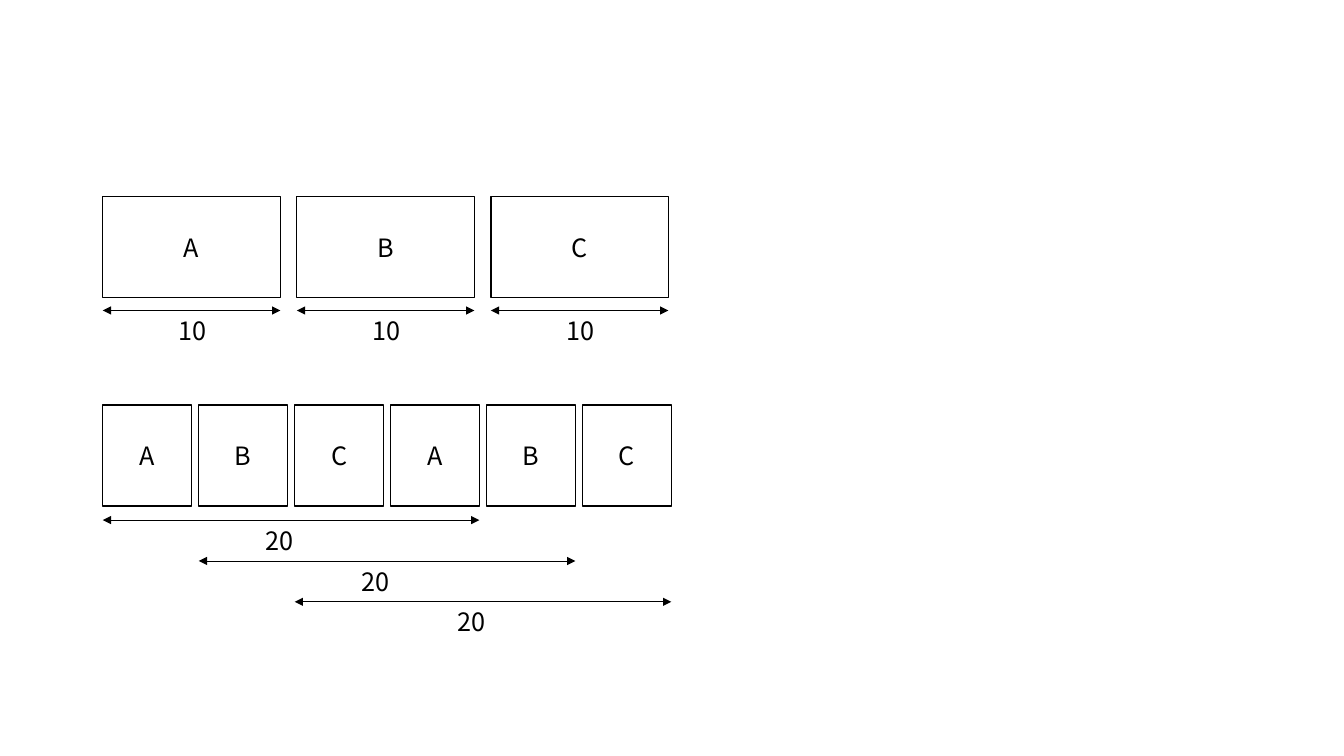
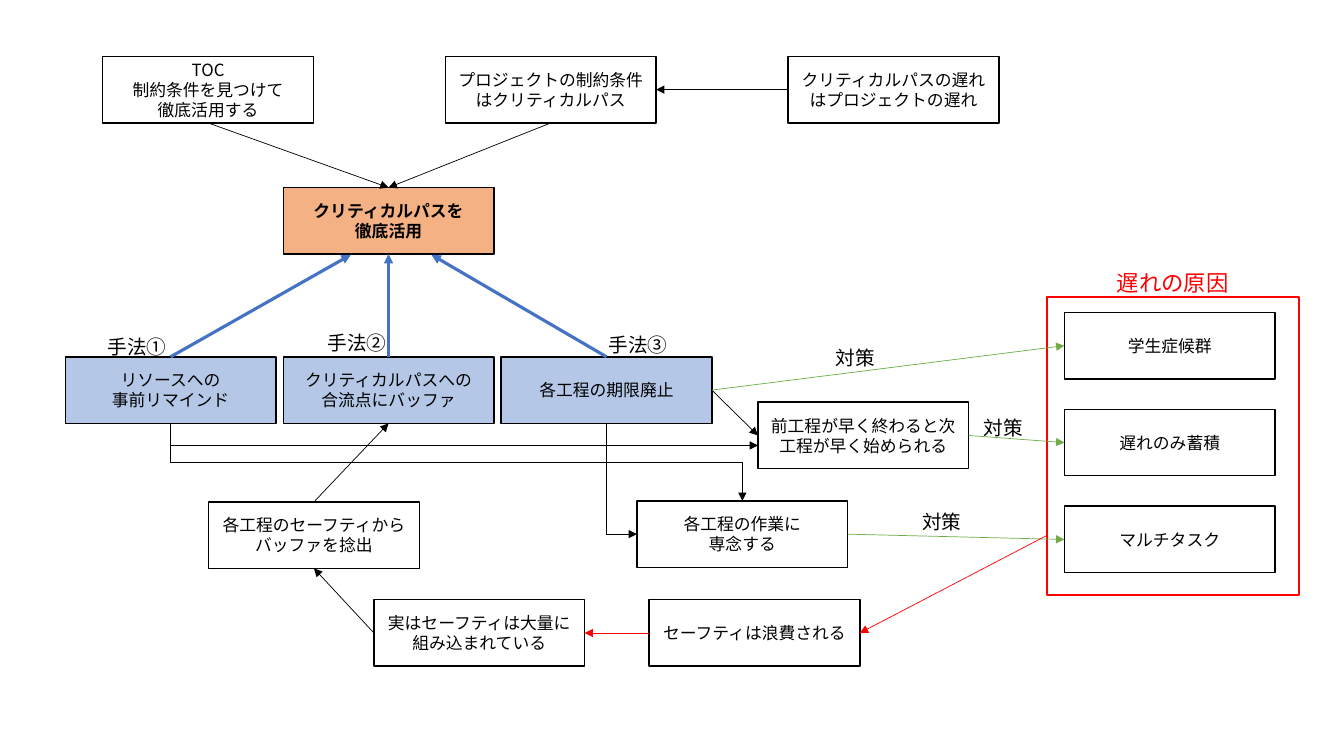
from lxml import etree
from pptx import Presentation
from pptx.dml.color import RGBColor
from pptx.enum.shapes import MSO_CONNECTOR, MSO_SHAPE
from pptx.enum.text import MSO_ANCHOR, PP_ALIGN
from pptx.oxml.ns import qn
from pptx.util import Pt

RECT = MSO_SHAPE.RECTANGLE
STRAIGHT, ELBOW = MSO_CONNECTOR.STRAIGHT, MSO_CONNECTOR.ELBOW
CENTER, LEFT = PP_ALIGN.CENTER, PP_ALIGN.LEFT
MIDDLE, ANCHOR_TOP = MSO_ANCHOR.MIDDLE, MSO_ANCHOR.TOP
TOP_SIDE, LEFT_SIDE, BOTTOM_SIDE, RIGHT_SIDE = range(4)  # rectangle connection sites

FONT = "Noto Sans CJK JP"
COLORS = {
    "black": "000000", "white": "FFFFFF", "red": "FF0000", "green": "70AD47",
    "blue": "4472C4", "pale_blue": "B4C7E7", "orange": "F4B183",
}


def add_text(s, text, x, y, w, h, size, color="black", fill=None, bold=False):
    """Filled, outlined box when fill is given, otherwise a plain label."""
    if fill:
        sp = s.shapes.add_shape(RECT, Pt(x), Pt(y), Pt(w), Pt(h))
        sp.shadow.inherit = False
        sp.fill.solid()
        sp.fill.fore_color.rgb = RGBColor.from_string(COLORS[fill])
        sp.line.color.rgb = RGBColor.from_string(COLORS["black"])
        sp.line.width = Pt(1)
    else:
        sp = s.shapes.add_textbox(Pt(x), Pt(y), Pt(w), Pt(h))
    tf = sp.text_frame
    tf.word_wrap = bool(fill)
    tf.vertical_anchor = MIDDLE if fill else ANCHOR_TOP
    for i, line in enumerate(text.split("\n")):
        p = tf.add_paragraph() if i else tf.paragraphs[0]
        p.alignment = CENTER if fill else LEFT
        r = p.add_run()
        r.text = line
        r.font.size = Pt(size)
        r.font.bold = bold
        r.font.color.rgb = RGBColor.from_string(COLORS[color])
        r.font.name = FONT
        etree.SubElement(r._r.get_or_add_rPr(), qn("a:ea"), typeface=FONT)
    return sp


def add_arrow(s, x1, y1, x2, y2, color="black", width=0.5, ends=("tailEnd",), kind=STRAIGHT):
    c = s.shapes.add_connector(kind, Pt(x1), Pt(y1), Pt(x2), Pt(y2))
    c.line.color.rgb = RGBColor.from_string(COLORS[color])
    c.line.width = Pt(width)
    ln = c.line._get_or_add_ln()
    for end in ends:
        etree.SubElement(ln, qn("a:" + end), type="triangle")
    etree.SubElement(c._element.spPr, qn("a:effectLst"))
    return c


prs = Presentation()
prs.slide_width, prs.slide_height = Pt(960), Pt(540)
BLANK = prs.slide_layouts[6]
BOTH = ("headEnd", "tailEnd")
GRID_LEFT = 73.4

# Slide 1: three long steps, each with its own span
s = prs.slides.add_slide(BLANK)
STEP_W, STEP_H = 126.9, 72
for i, name in enumerate("ABC"):
    x = GRID_LEFT + i * 138.6
    add_text(s, name, x, 140.4, STEP_W, STEP_H, 18, fill="white")
    add_arrow(s, x, 221.8, x + STEP_W, 221.8, ends=BOTH)
    add_text(s, "10", x + 47, 221.8, 34.6, 28.8, 18)

# Six half-length steps, with spans that overlap
HALF_W, HALF_PITCH = 63.4, 68.55
for i, name in enumerate("ABCABC"):
    add_text(s, name, GRID_LEFT + i * HALF_PITCH, 289.4, HALF_W, STEP_H, 18, fill="white")
for i in range(3):
    x, y = GRID_LEFT + i * HALF_PITCH, 371.5 + i * 29.2
    add_arrow(s, x, y, x + 3 * HALF_PITCH + HALF_W, y, ends=BOTH)
    add_text(s, "20", x + 109.5, y, 34.6, 28.8, 18)

# Slide 2: boxes of the cause map, all of one size
s = prs.slides.add_slide(BLANK)
BOX_W, BOX_H = 150.5, 47.5
METHOD_X, METHOD_PITCH, METHOD_Y = 46.6, 155.7, 254.9
CAUSE_X, CAUSE_Y, CAUSE_PITCH = 760.3, 223.2, 69.2
EARLY_X, FOCUS_X, FOCUS_Y = 541.4, 455, 357.8
WASTED_X, WASTED_Y = 463.7, 428.4
boxes = {}
for key, text, x, y, fill in [
    ("hidden", "実はセーフティは大量に組み込まれている", 267.1, WASTED_Y, "white"),
    ("wasted", "セーフティは浪費される", WASTED_X, WASTED_Y, "white"),
    ("delay", "クリティカルパスの遅れはプロジェクトの遅れ", 563, 40.3, "white"),
    ("toc", "TOC\n制約条件を見つけて\n徹底活用する", GRID_LEFT, 40.3, "white"),
    ("constraint", "プロジェクトの制約条件はクリティカルパス", 318.2, 40.3, "white"),
    ("core", "クリティカルパスを\n徹底活用", METHOD_X + METHOD_PITCH, 134, "orange"),
    ("remind", "リソースへの\n事前リマインド", METHOD_X, METHOD_Y, "pale_blue"),
    ("buffer", "クリティカルパスへの\n合流点にバッファ", METHOD_X + METHOD_PITCH, METHOD_Y, "pale_blue"),
    ("no_due", "各工程の期限廃止", METHOD_X + 2 * METHOD_PITCH, METHOD_Y, "pale_blue"),
    ("squeeze", "各工程のセーフティからバッファを捻出", 149, 358.5, "white"),
    ("early", "前工程が早く終わると次工程が早く始められる", EARLY_X, 287.3, "white"),
    ("focus", "各工程の作業に\n専念する", FOCUS_X, FOCUS_Y, "white"),
    ("student", "学生症候群", CAUSE_X, CAUSE_Y, "white"),
    ("pile_up", "遅れのみ蓄積", CAUSE_X, CAUSE_Y + CAUSE_PITCH, "white"),
    ("multitask", "マルチタスク", CAUSE_X, CAUSE_Y + 2 * CAUSE_PITCH, "white"),
]:
    boxes[key] = add_text(s, text, x, y, BOX_W, BOX_H, 12, fill=fill, bold=key == "core")

# Frame around the causes of delay
frame = s.shapes.add_shape(RECT, Pt(748.1), Pt(212.4), Pt(180), Pt(212.4))
frame.shadow.inherit = False
frame.fill.background()
frame.line.color.rgb = RGBColor.from_string(COLORS["red"])
frame.line.width = Pt(1.5)
add_text(s, "遅れの原因", 790.6, 188.6, 95, 26.6, 16, color="red")

# Arrows glued to boxes at both ends
for start, start_side, end, end_side, color, width in [
    ("delay", LEFT_SIDE, "constraint", RIGHT_SIDE, "black", 0.5),
    ("toc", BOTTOM_SIDE, "core", TOP_SIDE, "black", 0.5),
    ("constraint", BOTTOM_SIDE, "core", TOP_SIDE, "black", 0.5),
    ("buffer", TOP_SIDE, "core", BOTTOM_SIDE, "blue", 2.25),
    ("squeeze", TOP_SIDE, "buffer", BOTTOM_SIDE, "black", 0.5),
    ("hidden", LEFT_SIDE, "squeeze", BOTTOM_SIDE, "black", 0.5),
    ("wasted", LEFT_SIDE, "hidden", RIGHT_SIDE, "red", 0.5),
    ("no_due", RIGHT_SIDE, "early", LEFT_SIDE, "black", 0.5),
    ("no_due", RIGHT_SIDE, "student", LEFT_SIDE, "green", 0.5),
    ("early", RIGHT_SIDE, "pile_up", LEFT_SIDE, "green", 0.5),
    ("focus", RIGHT_SIDE, "multitask", LEFT_SIDE, "green", 0.5),
]:
    c = add_arrow(s, 0, 0, 0, 0, color, width)
    c.begin_connect(boxes[start], start_side)
    c.end_connect(boxes[end], end_side)

# Arrows that end away from a connection site
remind_mid = METHOD_X + BOX_W / 2
no_due_mid = remind_mid + 2 * METHOD_PITCH
add_arrow(s, remind_mid, METHOD_Y, 250.6, 182, "blue", 2.25)
add_arrow(s, no_due_mid, METHOD_Y, 308.2, 182, "blue", 2.25)
add_arrow(s, 748.1, 382.3, WASTED_X + BOX_W, WASTED_Y + BOX_H / 2, "red")

# Elbow arrows leave downwards: turned by 270 degrees and mirrored
y1 = METHOD_Y + BOX_H
for x1, x2, y2, preset in [
    (remind_mid, EARLY_X, 318.2, "bentConnector2"),
    (remind_mid, FOCUS_X + BOX_W / 2, FOCUS_Y, "bentConnector3"),
    (no_due_mid, FOCUS_X, FOCUS_Y + BOX_H / 2, "bentConnector2"),
]:
    dx, dy = x2 - x1, y2 - y1
    x, y = (x1 + x2 - dy) / 2, (y1 + y2 - dx) / 2
    c = add_arrow(s, x, y, x + dy, y + dx, kind=ELBOW)
    spPr = c._element.spPr
    spPr.find(qn("a:prstGeom")).set("prst", preset)
    xfrm = spPr.find(qn("a:xfrm"))
    xfrm.set("rot", str(270 * 60000))
    xfrm.set("flipH", "1")

# Labels beside the arrows
for text, x, y, w in [
    ("対策", 589.7, 243.4, 42.5),
    ("対策", 695.5, 293.8, 42.5),
    ("対策", 651.6, 360.7, 42.5),
    ("手法①", 69.8, 235.4, 56.9),
    ("手法②", 226.8, 232.6, 56.9),
    ("手法③", 427.7, 234, 56.9),
]:
    add_text(s, text, x, y, w, 24.5, 14)

prs.save("out.pptx")
